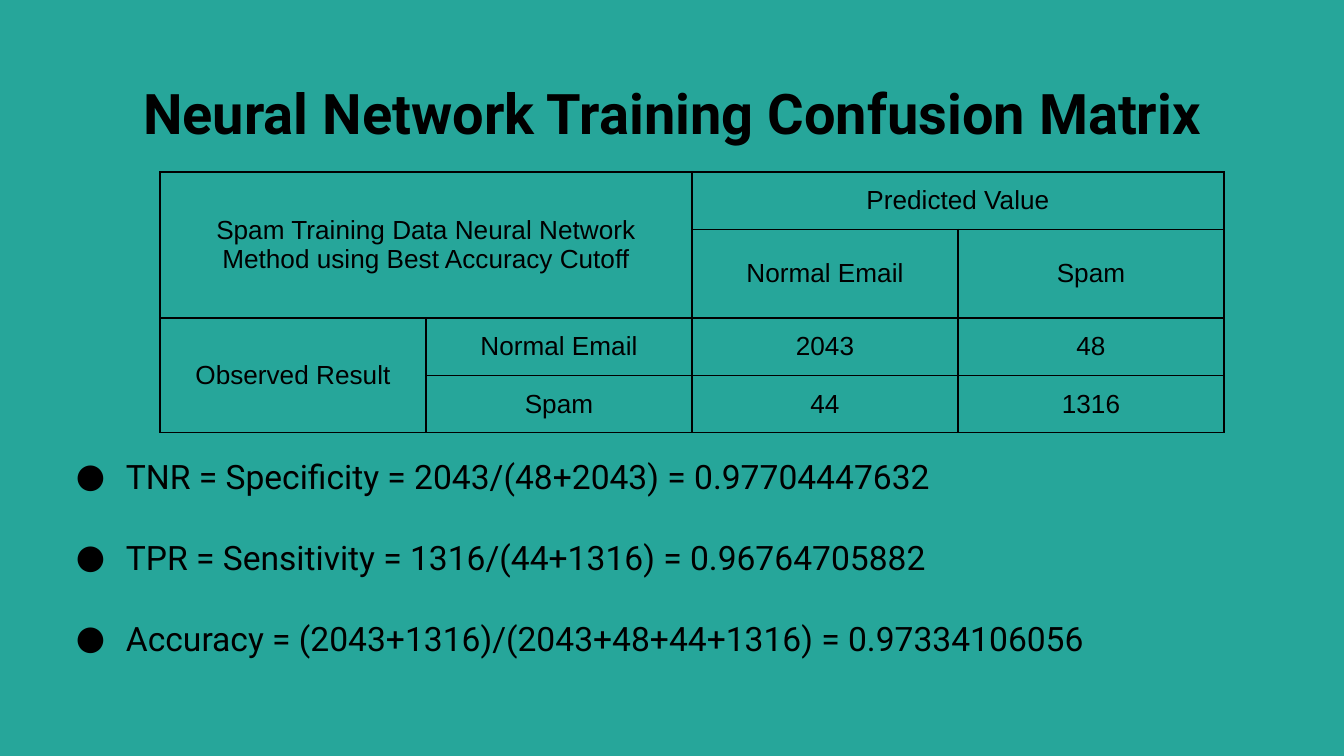
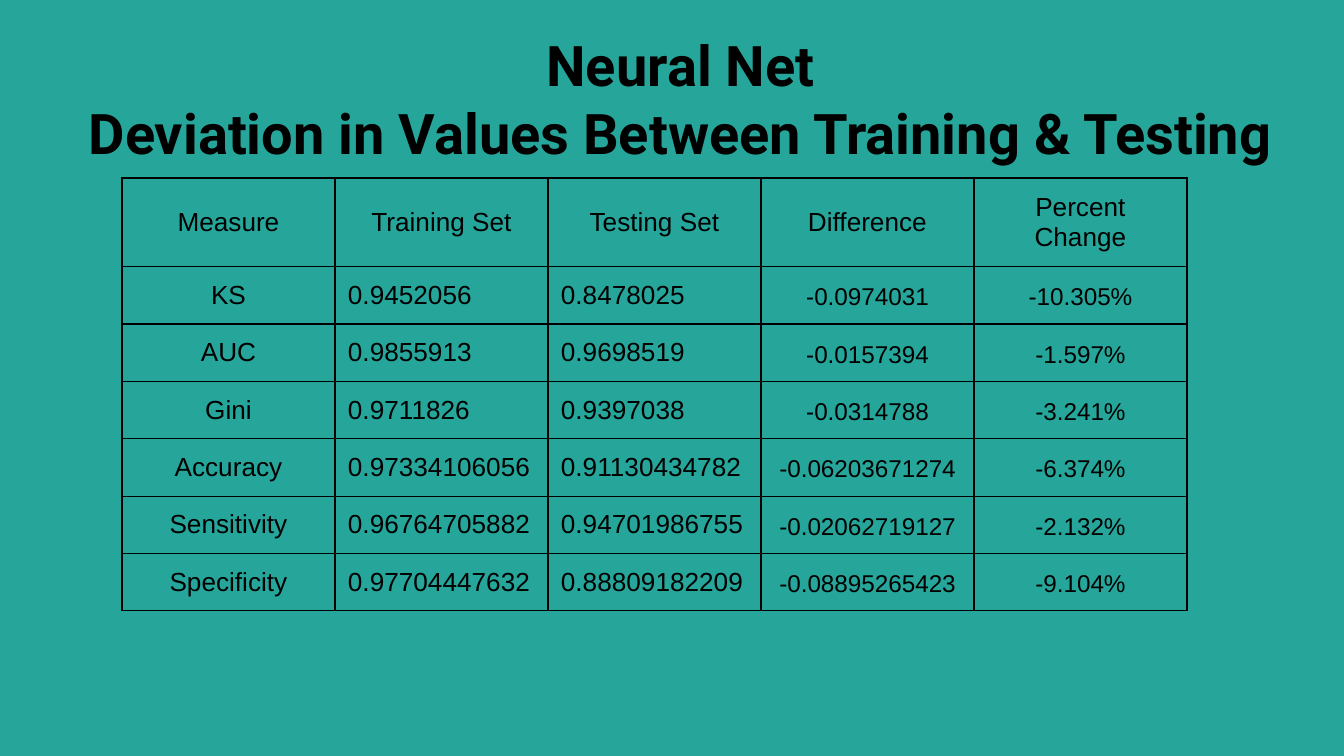
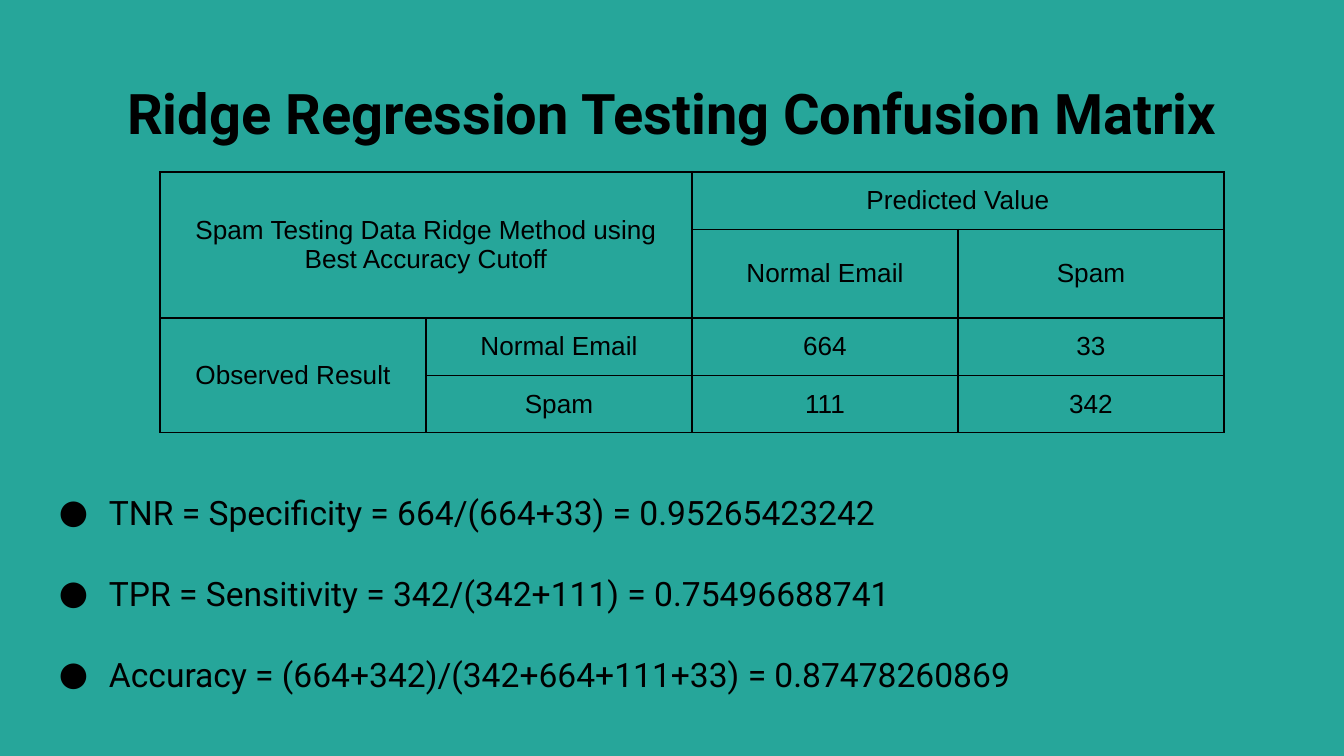
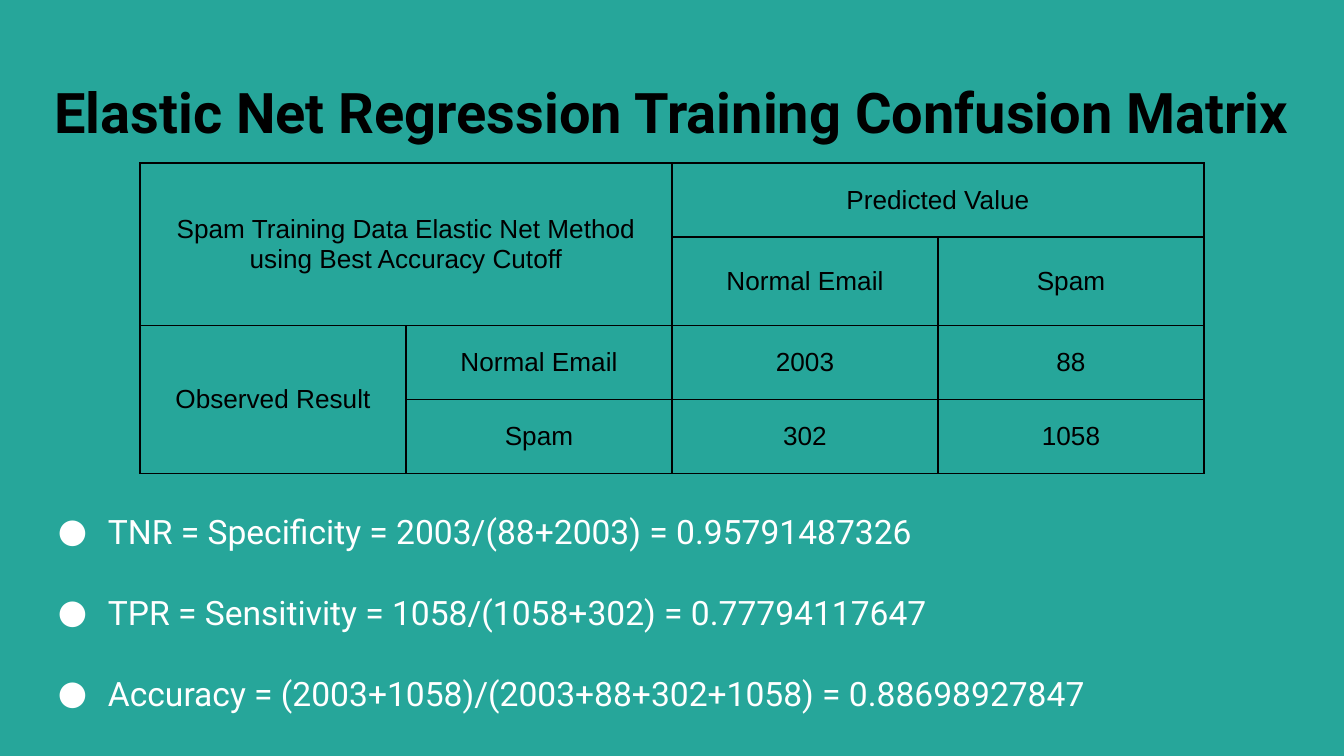
from lxml.etree import SubElement
from pptx import Presentation
from pptx.dml.color import RGBColor
from pptx.enum.text import MSO_ANCHOR, PP_ALIGN
from pptx.oxml import parse_xml
from pptx.oxml.ns import nsdecls, qn
from pptx.util import Emu, Pt

# Shared style
TEAL, BLACK, WHITE = "26A69A", "000000", "FFFFFF"
HEAD_FONT, TABLE_FONT = "Roboto", "Arial"
WIDTH, HEIGHT = 1344, 756
PAD = 13
CENTER, LEFT = PP_ALIGN.CENTER, PP_ALIGN.LEFT


def px(n):
    return Emu(round(n * 9144000 / WIDTH))


def rgb(value):
    return RGBColor.from_string(value)


def write(tf, text, size=14, font=TABLE_FONT, color=BLACK, bold=False,
          align=LEFT, spacing=None, bullet=None):
    """Fill a text frame, one paragraph per line of text."""
    tf.word_wrap = True
    for i, line in enumerate(text.split("\n")):
        p = tf.paragraphs[0] if i == 0 else tf.add_paragraph()
        p.alignment = align
        if spacing:
            p.line_spacing = spacing
        if bullet:
            add_bullet(p, bullet, font, color)
        r = p.add_run()
        r.text = line
        r.font.size, r.font.name, r.font.bold = Pt(size), font, bold
        r.font.color.rgb = rgb(color)


def add_bullet(p, char, font, color):
    pPr = p._p.get_or_add_pPr()
    pPr.set("marL", str(px(67)))
    pPr.set("indent", str(px(-50)))
    clr = SubElement(pPr, qn("a:buClr"))
    SubElement(clr, qn("a:srgbClr"), val=color)
    SubElement(pPr, qn("a:buFont"), typeface=font)
    SubElement(pPr, qn("a:buChar"), char=char)


def add_borders(cell, color=BLACK, width=0.75):
    tcPr = cell._tc.get_or_add_tcPr()
    for i, side in enumerate("LRTB"):
        tcPr.insert(i, parse_xml(
            f'<a:ln{side} {nsdecls("a")} w="{Pt(width)}"><a:solidFill>'
            f'<a:srgbClr val="{color}"/></a:solidFill></a:ln{side}>'))


class Deck:
    def __init__(self):
        self.prs = Presentation()
        self.prs.slide_width, self.prs.slide_height = px(WIDTH), px(HEIGHT)
        self.s = None

    def slide(self):
        self.s = self.prs.slides.add_slide(self.prs.slide_layouts[6])
        fill = self.s.background.fill
        fill.solid()
        fill.fore_color.rgb = rgb(TEAL)

    def text(self, x, y, w, h, text, **style):
        tf = self.s.shapes.add_textbox(*map(px, (x, y, w, h))).text_frame
        tf.margin_left = tf.margin_right = px(PAD)
        tf.margin_top = tf.margin_bottom = px(PAD)
        write(tf, text, font=HEAD_FONT, **style)

    def title(self, text, x=46, y=66, w=1253):
        self.text(x, y, w, 90, text, size=30, bold=True, align=CENTER)

    def bullets(self, x, y, lines, color=BLACK):
        self.text(x, y, 1253, 269, "\n".join(lines), size=18, color=color,
                  spacing=2, bullet="●")

    def table(self, x, y, rows, col_w, row_h, merges=(), styles=None):
        """Draw rows of text; styles gives format and margins by column."""
        n, m = len(rows), len(rows[0])
        table = self.s.shapes.add_table(
            n, m, *map(px, (x, y, col_w * m, row_h * n))).table
        table.first_row = table.horz_banding = False
        for col in table.columns:
            col.width = px(col_w)
        for row in table.rows:
            row.height = px(row_h)
        for top, left, bottom, right in merges:
            table.cell(top, left).merge(table.cell(bottom, right))
        for i, row in enumerate(rows):
            for j, text in enumerate(row):
                style = {"align": CENTER, "margins": (PAD, PAD)}
                if styles and i > 0:
                    style.update(styles[j])
                self.cell(table.cell(i, j), text, **style)

    def cell(self, cell, text, margins, **style):
        cell.fill.background()
        add_borders(cell)
        cell.vertical_anchor = MSO_ANCHOR.MIDDLE
        cell.margin_left = cell.margin_right = px(margins[0])
        cell.margin_top = cell.margin_bottom = px(margins[1])
        if text:
            write(cell.text_frame, text, **style)

    def confusion_matrix(self, x, y, caption, counts, row_h=56):
        (tn, fp), (fn, tp) = counts
        rows = [
            (caption, "", "Predicted Value", ""),
            ("", "", "Normal Email", "Spam"),
            ("Observed Result", "Normal Email", str(tn), str(fp)),
            ("", "Spam", str(fn), str(tp)),
        ]
        self.table(x, y, rows, 266, row_h,
                   merges=[(0, 0, 1, 1), (0, 2, 0, 3), (2, 0, 3, 0)])


def main():
    deck = Deck()

    # Neural network, training
    deck.slide()
    deck.title("Neural Network Training Confusion Matrix")
    deck.bullets(46, 403, [
        "TNR = Specificity = 2043/(48+2043) = 0.97704447632",
        "TPR = Sensitivity = 1316/(44+1316) = 0.96764705882",
        "Accuracy = (2043+1316)/(2043+48+44+1316) = 0.97334106056",
    ])
    deck.confusion_matrix(
        160, 172,
        "Spam Training Data Neural Network Method using Best Accuracy Cutoff",
        [(2043, 48), (44, 1316)])

    # Neural network, training against testing
    deck.slide()
    deck.title("Neural Net\nDeviation in Values Between Training & Testing",
               x=54, y=18)
    number = {"align": LEFT}
    change = {"size": 13, "spacing": 1.15, "margins": (4, 3)}
    deck.table(122, 178, [
        ("Measure", "Training Set", "Testing Set", "Difference",
         "Percent Change"),
        ("KS", "0.9452056", "0.8478025", "-0.0974031", "-10.305%"),
        ("AUC", "0.9855913", "0.9698519", "-0.0157394", "-1.597%"),
        ("Gini", "0.9711826", "0.9397038", "-0.0314788", "-3.241%"),
        ("Accuracy", "0.97334106056", "0.91130434782", "-0.06203671274",
         "-6.374%"),
        ("Sensitivity", "0.96764705882", "0.94701986755", "-0.02062719127",
         "-2.132%"),
        ("Specificity", "0.97704447632", "0.88809182209", "-0.08895265423",
         "-9.104%"),
    ], 213, 56, styles=[{}, number, number, change, change])

    # Ridge regression, testing
    deck.slide()
    deck.title("Ridge Regression Testing Confusion Matrix")
    deck.confusion_matrix(
        160, 172,
        "Spam Testing Data Ridge Method using Best Accuracy Cutoff",
        [(664, 33), (111, 342)])
    deck.bullets(29, 439, [
        "TNR = Specificity = 664/(664+33) = 0.95265423242",
        "TPR = Sensitivity = 342/(342+111) = 0.75496688741",
        "Accuracy = (664+342)/(342+664+111+33) = 0.87478260869",
    ])

    # Elastic net regression, training
    deck.slide()
    deck.title("Elastic Net Regression Training Confusion Matrix",
               x=0, y=65, w=WIDTH)
    deck.confusion_matrix(
        140, 163,
        "Spam Training Data Elastic Net Method using Best Accuracy Cutoff",
        [(2003, 88), (302, 1058)], row_h=74)
    deck.bullets(28, 458, [
        "TNR = Specificity = 2003/(88+2003) = 0.95791487326",
        "TPR = Sensitivity = 1058/(1058+302) = 0.77794117647",
        "Accuracy = (2003+1058)/(2003+88+302+1058) = 0.88698927847",
    ], color=WHITE)

    deck.prs.save("out.pptx")


if __name__ == "__main__":
    main()
